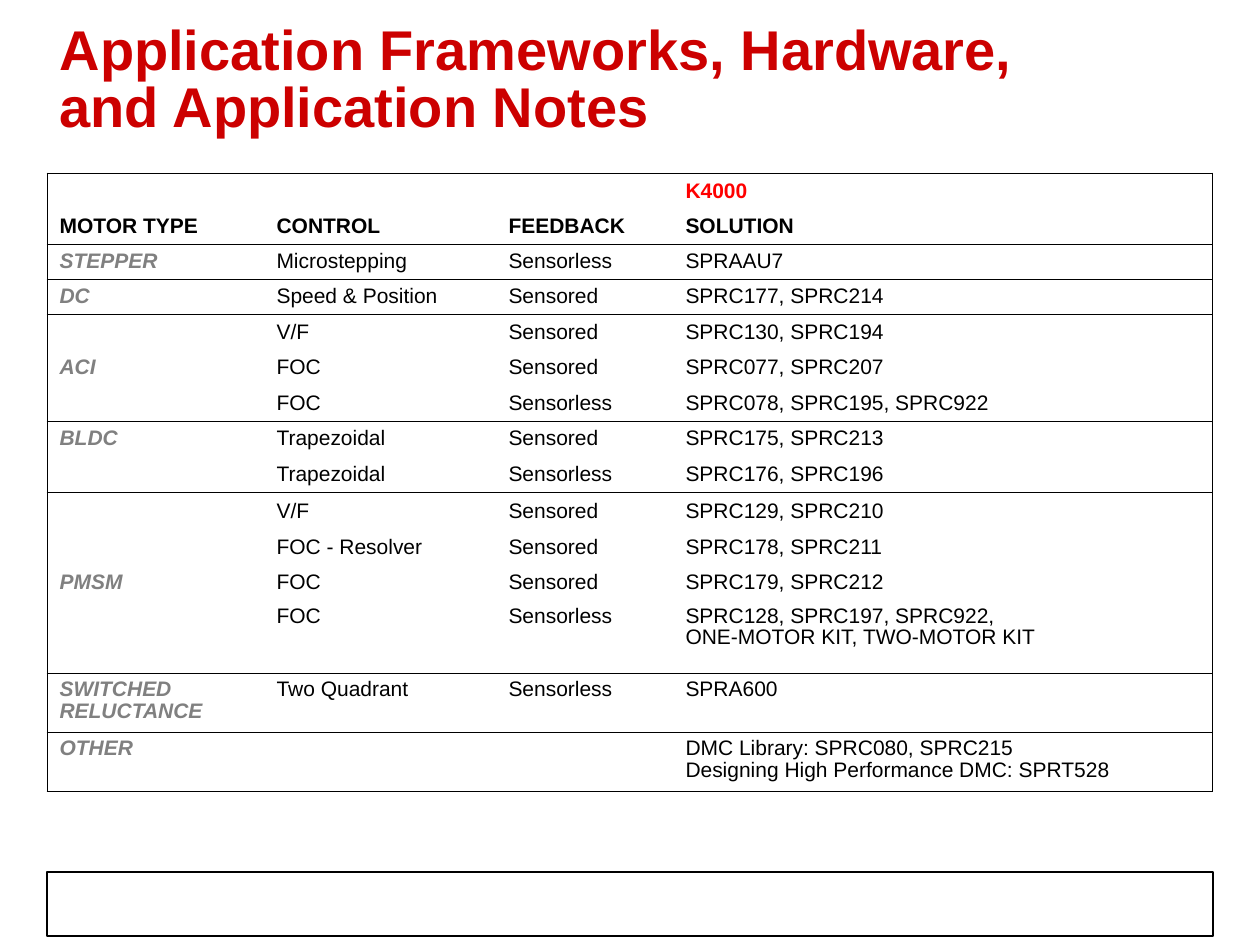
from dataclasses import dataclass

from lxml.etree import SubElement
from pptx import Presentation
from pptx.dml.color import RGBColor
from pptx.enum.shapes import MSO_SHAPE
from pptx.enum.text import MSO_ANCHOR, MSO_AUTO_SIZE, PP_ALIGN
from pptx.oxml.ns import qn
from pptx.util import Emu, Pt

BLACK, WHITE, GREY, RED, TITLE = "000000", "FFFFFF", "808080", "FF0000", "CC0000"
FONT = "Arial"
LINE = Pt(0.45)
LEFT, TOP = 47, 173
COLS = [217, 232, 177, 539]
SHORT = 12  # number of one-line rows
HIGHS = [35] * SHORT + [74, 59, 59]


@dataclass
class Row:
    motor: str
    control: str
    feedback: str
    solution: str
    last: bool = True  # closes its group with a rule


ROWS = [
    Row("", "", "", "K4000", False),
    Row("MOTOR TYPE", "CONTROL", "FEEDBACK", "SOLUTION"),
    Row("STEPPER", "Microstepping", "Sensorless", "SPRAAU7"),
    Row("DC", "Speed & Position", "Sensored", "SPRC177, SPRC214"),
    Row("", "V/F", "Sensored", "SPRC130, SPRC194", False),
    Row("ACI", "FOC", "Sensored", "SPRC077, SPRC207", False),
    Row("", "FOC", "Sensorless", "SPRC078, SPRC195, SPRC922"),
    Row("BLDC", "Trapezoidal", "Sensored", "SPRC175, SPRC213", False),
    Row("", "Trapezoidal", "Sensorless", "SPRC176, SPRC196"),
    Row("", "V/F", "Sensored", "SPRC129, SPRC210", False),
    Row("", "FOC - Resolver", "Sensored", "SPRC178, SPRC211", False),
    Row("PMSM", "FOC", "Sensored", "SPRC179, SPRC212", False),
    Row("", "FOC", "Sensorless",
        "SPRC128, SPRC197, SPRC922,\vONE-MOTOR KIT, TWO-MOTOR KIT"),
    Row("SWITCHED RELUCTANCE", "Two Quadrant", "Sensorless", "SPRA600"),
    Row("OTHER", "", "",
        "DMC Library: SPRC080, SPRC215\vDesigning High Performance DMC: SPRT528"),
]


def px(n: int) -> Emu:
    return Emu(round(n * 914400 / 126))


def color(code: str) -> RGBColor:
    return RGBColor.from_string(code)


def style(para, size: int, code: str, bold: bool, slant: bool, gap: float) -> None:
    para.alignment = PP_ALIGN.LEFT
    para.line_spacing = gap
    font = para.font
    font.name, font.size = FONT, Pt(size)
    font.bold, font.italic = bold, slant
    font.color.rgb = color(code)


def border(cell, sides: dict[str, bool]) -> None:
    """Rule the sides marked true and clear the others."""
    props = cell._tc.get_or_add_tcPr()
    for side, ruled in sides.items():
        line = SubElement(props, qn(f"a:ln{side}"), w=str(LINE))
        if ruled:
            fill = SubElement(line, qn("a:solidFill"))
            SubElement(fill, qn("a:srgbClr"), val=BLACK)
        else:
            SubElement(line, qn("a:noFill"))


def fill_cell(cell, text: str, row: int, col: int) -> None:
    head, motor = row < 2, row > 1 and col == 0
    code = RED if row == 0 else GREY if motor else BLACK
    cell.text = text
    para = cell.text_frame.paragraphs[0]
    style(para, 12, code, head or motor, motor, 0.9)
    if not text:
        SubElement(para._p, qn("a:endParaRPr"), sz="1200")
    cell.vertical_anchor = MSO_ANCHOR.BOTTOM if row < SHORT else MSO_ANCHOR.TOP
    border(cell, {"L": col == 0, "R": col == len(COLS) - 1,
                  "T": row == 0 or ROWS[row - 1].last, "B": ROWS[row].last})
    cell.fill.solid()
    cell.fill.fore_color.rgb = color(WHITE)


def add_grid(slide) -> None:
    grid = slide.shapes.add_table(len(ROWS), len(COLS), px(LEFT), px(TOP),
                                  px(sum(COLS)), px(sum(HIGHS))).table
    grid.first_row = grid.horz_banding = False
    for col, wide in zip(grid.columns, COLS):
        col.width = px(wide)
    for r, (row, high) in enumerate(zip(ROWS, HIGHS)):
        grid.rows[r].height = px(high)
        for c, text in enumerate((row.motor, row.control, row.feedback, row.solution)):
            fill_cell(grid.cell(r, c), text, r, c)


def add_box(slide, x: int, y: int, w: int, h: int) -> None:
    box = slide.shapes.add_shape(MSO_SHAPE.RECTANGLE, px(x), px(y), px(w), px(h))
    box.shadow.inherit = False
    box.fill.background()
    box.line.color.rgb = color(BLACK)
    box.line.width = Pt(0.75)


def set_title(slide, text: str) -> None:
    title = slide.shapes.title
    title.left, title.top, title.width, title.height = px(LEFT), px(0), px(1166), px(164)
    frame = title.text_frame
    frame.text = text
    frame.auto_size = MSO_AUTO_SIZE.NONE
    frame.vertical_anchor = MSO_ANCHOR.MIDDLE
    style(frame.paragraphs[0], 32, TITLE, True, False, 0.85)


def main() -> None:
    deck = Presentation()
    deck.slide_width, deck.slide_height = px(1260), px(945)
    slide = deck.slides.add_slide(deck.slide_layouts[5])
    add_box(slide, LEFT, 872, 1166, 64)
    set_title(slide, "Application Frameworks, Hardware,\vand Application Notes")
    add_grid(slide)
    deck.save("out.pptx")


if __name__ == "__main__":
    main()
